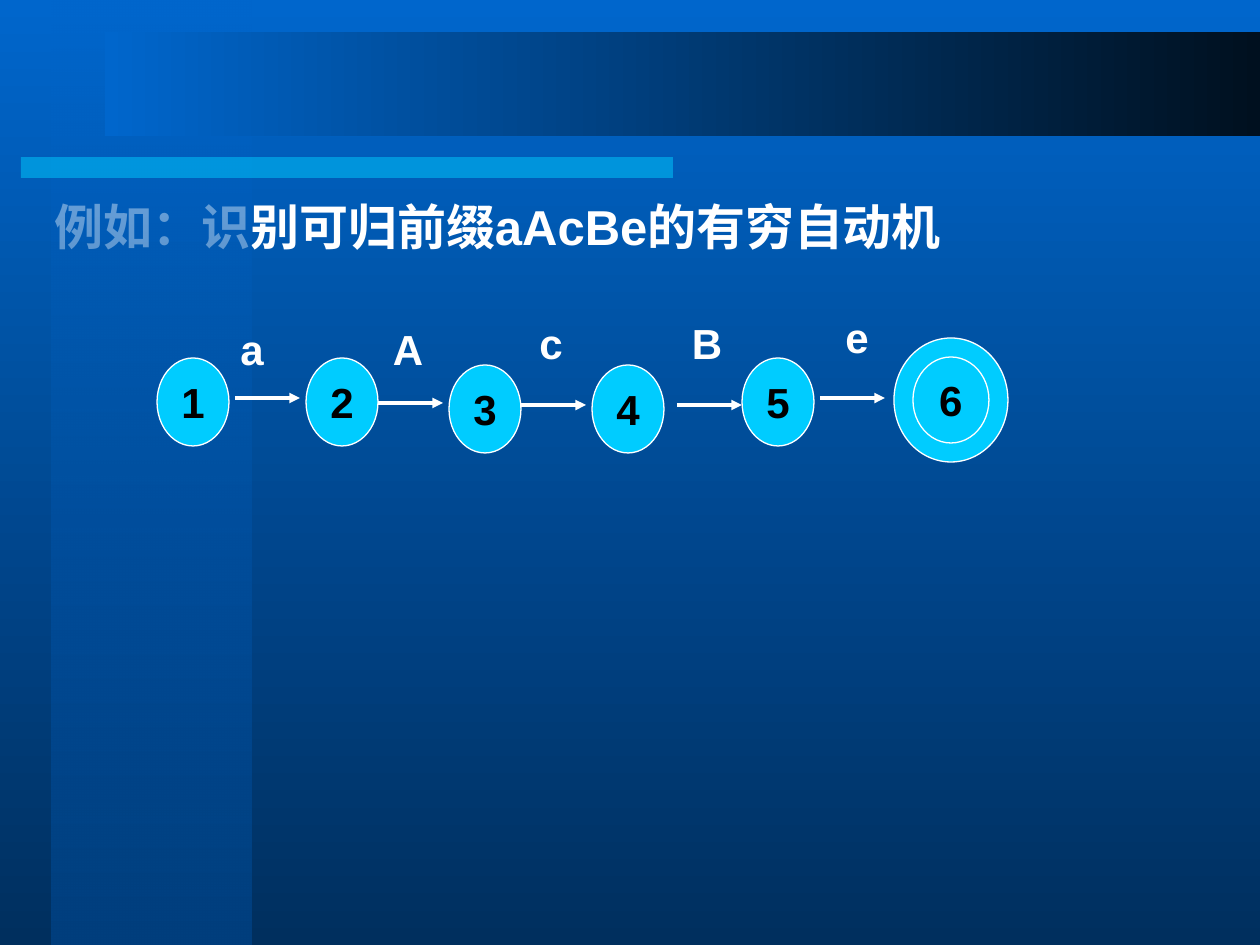
from dataclasses import dataclass

from lxml.etree import SubElement
from pptx import Presentation
from pptx.dml.color import RGBColor
from pptx.enum.shapes import MSO_CONNECTOR, MSO_SHAPE
from pptx.enum.text import MSO_ANCHOR, MSO_AUTO_SIZE, PP_ALIGN
from pptx.oxml.ns import qn
from pptx.util import Emu, Inches, Pt

TITLE = "例如：识别可归前缀aAcBe的有穷自动机"
TITLE_BOX = (42, 197, 935, 66)

# Name and top-left corner of each ordinary state.
STATES = [("1", 157, 358), ("2", 306, 358), ("3", 449, 365),
          ("4", 592, 365), ("5", 742, 358)]
STATE_SIZE = (72, 88)
FINAL_RING = (894, 338, 114, 124)
FINAL_STATE = ("6", (913, 357, 76, 86))

# Symbol, top-left corner of its label, start of its arrow.
TRANSITIONS = [
    ("a", (209, 317), (235, 398)),
    ("A", (365, 317), (378, 403)),
    ("c", (508, 311), (521, 405)),
    ("B", (664, 311), (677, 405)),
    ("e", (814, 305), (820, 398)),
]
LABEL_SIZE = (86, 63)
ARROW_LENGTH = 65

COLUMN = (52, 0, 200, 945)
RULE = (21, 157, 652, 21)
BANNER = (105, 32, 1155, 104)


@dataclass(frozen=True)
class Theme:
    font: str = "Arial"
    text: str = "FFFFFF"
    state_text: str = "000000"
    accent: str = "00CCFF"
    outline: str = "FFFFFF"
    background: tuple = ("0066CC", "002F5E")
    column: tuple = ("0066CC", "003F7E")
    banner: tuple = ("0066CC", "00101F")
    title_size: int = 28
    body_size: int = 24


THEME = Theme()
DOWN, RIGHT = 270, 0


def px(*lengths):
    return [Emu(round(n * 914400 / 126)) for n in lengths]


def rgb(color):
    return RGBColor.from_string(color)


def set_gradient(fill, colors, angle):
    fill.gradient()
    fill.gradient_angle = angle
    for stop, color in zip(fill.gradient_stops, colors):
        stop.color.rgb = rgb(color)


def make_first_color_half_transparent(s):
    color = next(s._element.spPr.iter(qn("a:srgbClr")))
    SubElement(color, qn("a:alpha"), val="50000")


def set_text(s, text, size, color, align, anchor, wrap):
    tf = s.text_frame
    tf.word_wrap = wrap
    tf.auto_size = MSO_AUTO_SIZE.NONE
    tf.vertical_anchor = anchor
    p = tf.paragraphs[0]
    p.text = text
    p.alignment = align
    p.font.name = THEME.font
    p.font.size = Pt(size)
    p.font.bold = True
    p.font.color.rgb = rgb(color)
    return p


def add_shape(slide, kind, box):
    s = slide.shapes.add_shape(kind, *px(*box))
    s.shadow.inherit = False
    s.line.fill.background()
    return s


def add_decoration(slide):
    column = add_shape(slide, MSO_SHAPE.RECTANGLE, COLUMN)
    set_gradient(column.fill, THEME.column, DOWN)
    make_first_color_half_transparent(column)
    rule = add_shape(slide, MSO_SHAPE.RECTANGLE, RULE)
    rule.fill.solid()
    rule.fill.fore_color.rgb = rgb(THEME.accent)
    make_first_color_half_transparent(rule)
    banner = add_shape(slide, MSO_SHAPE.RECTANGLE, BANNER)
    set_gradient(banner.fill, THEME.banner, RIGHT)


def add_state(slide, box, name=None):
    s = add_shape(slide, MSO_SHAPE.OVAL, box)
    s.fill.solid()
    s.fill.fore_color.rgb = rgb(THEME.accent)
    s.line.color.rgb = rgb(THEME.outline)
    s.line.width = Pt(0.75)
    if name:
        set_text(s, name, THEME.body_size, THEME.state_text,
                 PP_ALIGN.CENTER, MSO_ANCHOR.MIDDLE, False)


def add_transition(slide, symbol, corner, start):
    x, y = start
    arrow = slide.shapes.add_connector(
        MSO_CONNECTOR.STRAIGHT, *px(x, y, x + ARROW_LENGTH, y))
    arrow.line.color.rgb = rgb(THEME.outline)
    arrow.line.width = Pt(2)
    SubElement(arrow.line._get_or_add_ln(), qn("a:tailEnd"), type="triangle")
    SubElement(arrow._element.spPr, qn("a:effectLst"))

    label = slide.shapes.add_textbox(*px(*corner, *LABEL_SIZE))
    set_text(label, symbol, THEME.body_size, THEME.text,
             PP_ALIGN.CENTER, MSO_ANCHOR.TOP, True)


def main():
    prs = Presentation()
    prs.slide_width, prs.slide_height = Inches(10), Inches(7.5)
    slide = prs.slides.add_slide(prs.slide_layouts[5])
    set_gradient(slide.background.fill, THEME.background, DOWN)
    add_decoration(slide)

    title = slide.shapes.title
    title.left, title.top, title.width, title.height = px(*TITLE_BOX)
    p = set_text(title, TITLE, THEME.title_size, THEME.text,
                 PP_ALIGN.LEFT, MSO_ANCHOR.TOP, False)
    p.line_spacing = 0.9

    for name, x, y in STATES:
        add_state(slide, (x, y, *STATE_SIZE), name)
    add_state(slide, FINAL_RING)
    name, box = FINAL_STATE
    add_state(slide, box, name)
    for transition in TRANSITIONS:
        add_transition(slide, *transition)
    prs.save("out.pptx")


if __name__ == "__main__":
    main()
